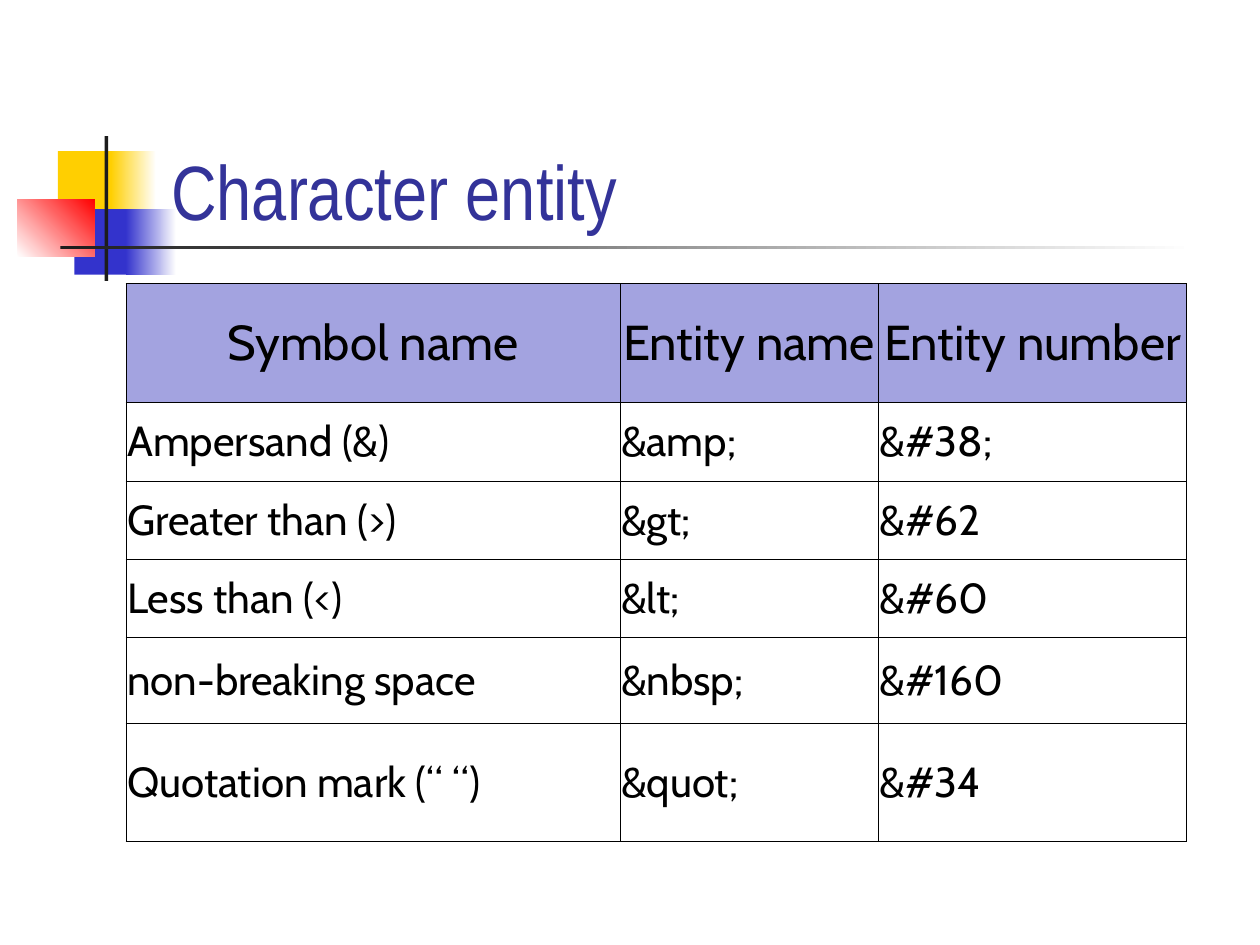
import dataclasses

import pptx
import pptx.dml.color
import pptx.enum.shapes
import pptx.enum.text
import pptx.oxml
import pptx.oxml.ns
import pptx.util


@dataclasses.dataclass(frozen=True)
class Theme:
    yellow: str = "FFCF01"
    blue: str = "3333CC"
    red: str = "FF0000"
    white: str = "FFFFFF"
    rule: str = "1C1C1C"
    title: str = "333399"
    text: str = "000000"
    header_fill: str = "A3A3E0"
    title_font: str = "Arial Narrow"
    table_font: str = "Cabin"
    title_size: float = 44
    header_size: float = 28
    body_size: float = 24
    border_width: float = 0.45


@dataclasses.dataclass(frozen=True)
class Box:
    """A region in grid units, 100 to the inch."""
    left: float
    top: float
    width: float
    height: float

    def inside(self, left, top, width, height):
        return Box(self.left + left, self.top + top, width, height)

    def lengths(self):
        return [grid(value) for value in
                (self.left, self.top, self.width, self.height)]


THEME = Theme()
SLIDE_BOX = Box(0, 0, 1000, 750)
MOTIF_BOX = Box(14, 108, 934, 115)
TITLE_BOX = Box(126, 67, 852, 125)
TABLE_BOX = Box(100, 225, 842, 443)

COLUMN_WEIGHTS = (392, 205, 245)
ROW_WEIGHTS = (94, 62, 62, 62, 68, 93)
ENTITIES = (
    ("Symbol name", "Entity name", "Entity number"),
    ("Ampersand (&)", "&amp;", "&#38;"),
    ("Greater than (>)", "&gt;", "&#62"),
    ("Less than (<)", "&lt;", "&#60"),
    ("non-breaking space", "&nbsp;", "&#160"),
    ("Quotation mark (“ “)", "&quot;", "&#34"),
)


def grid(units):
    return pptx.util.Inches(units / 100)


def color(value):
    return pptx.dml.color.RGBColor.from_string(value)


def add_run(paragraph, text, font_name, size, text_color):
    run = paragraph.add_run()
    run.text = text
    run.font.name = font_name
    run.font.size = pptx.util.Pt(size)
    run.font.color.rgb = color(text_color)


def add_block(slide, box, colors, angle=0):
    """Add a plain rectangle, or a gradient one when two colors are given."""
    shape = slide.shapes.add_shape(
        pptx.enum.shapes.MSO_SHAPE.RECTANGLE, *box.lengths())
    shape.shadow.inherit = False
    shape.line.fill.background()
    if len(colors) == 1:
        shape.fill.solid()
        shape.fill.fore_color.rgb = color(colors[0])
    else:
        shape.fill.gradient()
        shape.fill.gradient_angle = angle
        for stop, value in zip(shape.fill.gradient_stops, colors):
            stop.color.rgb = color(value)


def add_motif(slide, box):
    add_block(slide, box.inside(32, 12, 48, 52), [THEME.yellow])
    add_block(slide, box.inside(74, 12, 36, 52), [THEME.yellow, THEME.white])
    add_block(slide, box.inside(45, 58, 46, 52), [THEME.blue])
    add_block(slide, box.inside(86, 58, 40, 52), [THEME.blue, THEME.white])
    add_block(slide, box.inside(0, 50, 61, 46), [THEME.white, THEME.red], 45)
    add_block(slide, box.inside(69, 0, 3, box.height), [THEME.rule])
    add_block(slide, box.inside(34, 87, box.width - 34, 3),
              [THEME.rule, THEME.white])


def add_title(slide, box, text):
    title = slide.shapes.title
    title.left, title.top, title.width, title.height = box.lengths()
    frame = title.text_frame
    frame.auto_size = pptx.enum.text.MSO_AUTO_SIZE.NONE
    frame.word_wrap = True
    frame.vertical_anchor = pptx.enum.text.MSO_ANCHOR.BOTTOM
    paragraph = frame.paragraphs[0]
    paragraph.alignment = pptx.enum.text.PP_ALIGN.LEFT
    add_run(paragraph, text, THEME.title_font, THEME.title_size, THEME.title)
    # Stack the title above the motif.
    title.element.getparent().append(title.element)


def add_borders(cell):
    properties = cell._tc.get_or_add_tcPr()
    for side in ("lnL", "lnR", "lnT", "lnB"):
        properties.append(pptx.oxml.parse_xml(
            f'<a:{side} {pptx.oxml.ns.nsdecls("a")} '
            f'w="{pptx.util.Pt(THEME.border_width)}">'
            f'<a:solidFill><a:srgbClr val="{THEME.text}"/></a:solidFill>'
            f'</a:{side}>'))


def fill_cell(cell, text, is_header):
    cell.margin_left = cell.margin_right = grid(1)
    cell.margin_top = cell.margin_bottom = grid(5)
    cell.vertical_anchor = pptx.enum.text.MSO_ANCHOR.MIDDLE
    add_borders(cell)
    paragraph = cell.text_frame.paragraphs[0]
    if is_header:
        cell.fill.solid()
        cell.fill.fore_color.rgb = color(THEME.header_fill)
        paragraph.alignment = pptx.enum.text.PP_ALIGN.CENTER
    else:
        cell.fill.background()
        paragraph.alignment = pptx.enum.text.PP_ALIGN.LEFT
    size = THEME.header_size if is_header else THEME.body_size
    add_run(paragraph, text, THEME.table_font, size, THEME.text)


def add_entity_table(slide, box, rows):
    table = slide.shapes.add_table(
        len(rows), len(rows[0]), *box.lengths()).table
    table.first_row = table.horz_banding = False
    for column, weight in zip(table.columns, COLUMN_WEIGHTS):
        column.width = grid(box.width * weight / sum(COLUMN_WEIGHTS))
    for row, weight in zip(table.rows, ROW_WEIGHTS):
        row.height = grid(box.height * weight / sum(ROW_WEIGHTS))
    for row_index, texts in enumerate(rows):
        for column_index, text in enumerate(texts):
            fill_cell(table.cell(row_index, column_index), text,
                      row_index == 0)


def main():
    presentation = pptx.Presentation()
    presentation.slide_width = grid(SLIDE_BOX.width)
    presentation.slide_height = grid(SLIDE_BOX.height)
    title_only = presentation.slide_layouts.get_by_name("Title Only")
    slide = presentation.slides.add_slide(title_only)
    slide.background.fill.solid()
    slide.background.fill.fore_color.rgb = color(THEME.white)
    add_motif(slide, MOTIF_BOX)
    add_title(slide, TITLE_BOX, "Character entity")
    add_entity_table(slide, TABLE_BOX, ENTITIES)
    presentation.save("out.pptx")


if __name__ == "__main__":
    main()
